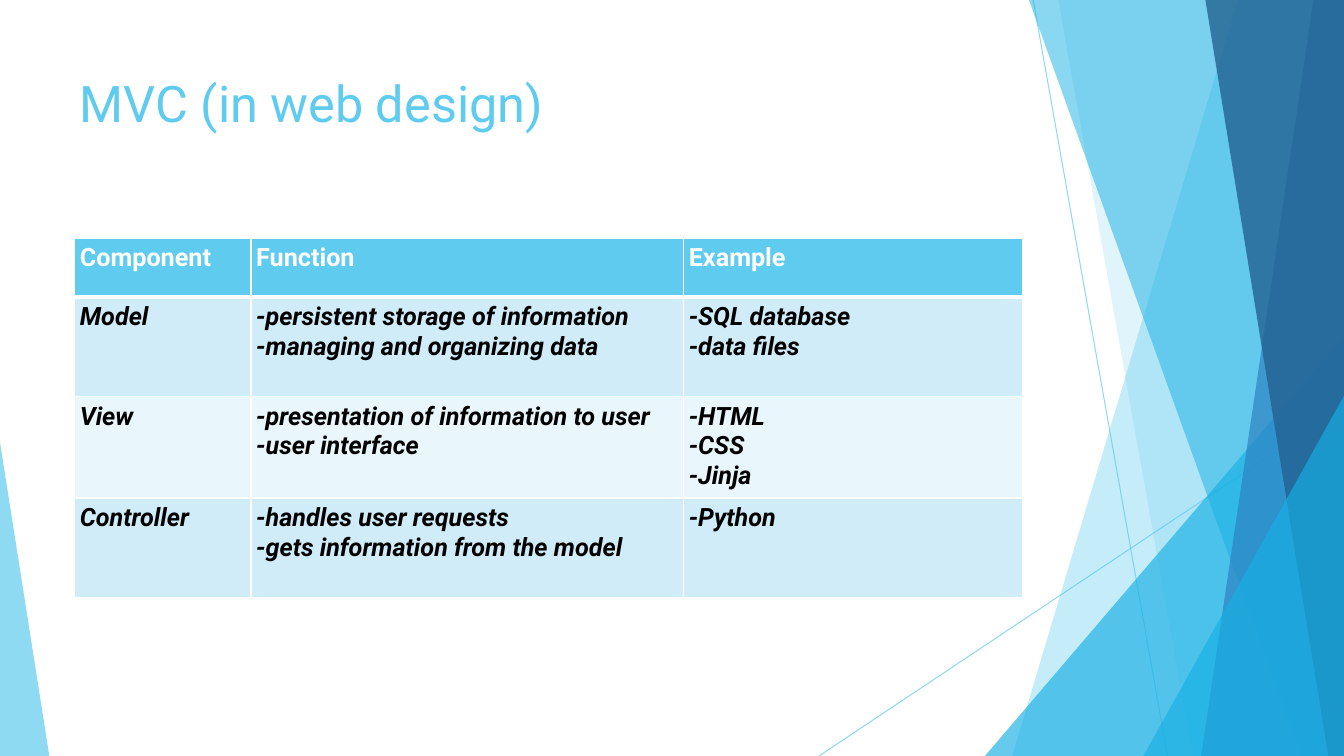
from dataclasses import dataclass

from lxml.etree import SubElement
from pptx import Presentation
from pptx.dml.color import RGBColor
from pptx.enum.shapes import MSO_CONNECTOR
from pptx.enum.text import MSO_ANCHOR
from pptx.oxml.ns import qn
from pptx.util import Emu, Pt

PX = 9525


@dataclass(frozen=True)
class Theme:
    font: str = "Roboto"
    title_size: int = 36
    table_size: int = 18
    inset: int = 5
    sky: str = "5FCBEF"
    cyan: str = "17B0E4"
    blue: str = "2E83C3"
    navy: str = "236292"
    white: str = "FFFFFF"
    black: str = "000000"
    bands: tuple = ("D1ECF9", "E9F6FC")
    thin: float = 0.75
    grid: int = 1
    header_rule: int = 3


@dataclass(frozen=True)
class Box:
    left: int
    top: int
    width: int
    height: int

    def emu(self):
        return [px(value) for value in (self.left, self.top, self.width, self.height)]

    def point(self, x, y):
        return px(self.left + x), px(self.top + y)


THEME = Theme()

HEADINGS = ["Component", "Function", "Example"]
COMPONENTS = [
    ["Model", "-persistent storage of information\n-managing and organizing data",
     "-SQL database\n-data files"],
    ["View", "-presentation of information to user\n-user interface", "-HTML\n-CSS\n-Jinja"],
    ["Controller", "-handles user requests\n-gets information from the model", "-Python"],
]


def px(value):
    return Emu(value * PX)


def set_alpha(color_format, color, percent):
    color_format.rgb = RGBColor.from_string(color)
    for node in color_format._xFill.iter(qn("a:srgbClr")):
        SubElement(node, qn("a:alpha"), val=str(percent * 1000))


def style_text(frame, size, color, bold=False, italic=False):
    for para in frame.paragraphs:
        for span in para.runs:
            font = span.font
            font.name = THEME.font
            font.size = Pt(size)
            font.color.rgb = RGBColor.from_string(color)
            font.bold = bold
            font.italic = italic


def add_ray(page, box, start, end):
    ray = page.shapes.add_connector(
        MSO_CONNECTOR.STRAIGHT, *box.point(*start), *box.point(*end))
    ray.line.width = Pt(THEME.thin)
    ray.line.fill.solid()
    set_alpha(ray.line.fill.fore_color, THEME.sky, 70)
    SubElement(ray._element.spPr, qn("a:effectLst"))


def add_facet(page, box, points, color, alpha):
    first, *others = [box.point(*point) for point in points]
    builder = page.shapes.build_freeform(*first)
    builder.add_line_segments(others, close=True)
    facet = builder.convert_to_shape()
    facet.shadow.inherit = False
    facet.line.fill.background()
    facet.fill.solid()
    set_alpha(facet.fill.fore_color, color, alpha)


def draw_facets(page, box):
    width, height = box.width, box.height
    add_ray(page, box, (204, 0), (332, height))
    add_ray(page, box, (width, 387), (0, height))
    facets = [
        (399, 0, 184, THEME.sky, 36),
        (228, 0, 356, THEME.sky, 20),
        (width, 320, 158, THEME.cyan, 66),
        (200, 0, 459, THEME.cyan, 50),
        (471, 0, 364, THEME.blue, 70),
        (368, 0, 485, THEME.navy, 80),
        (width, 377, 309, THEME.cyan, 66),
    ]
    for top_x, top_y, bottom_x, color, alpha in facets:
        points = [(width, height), (bottom_x, height), (top_x, top_y)]
        if top_x < width:
            points.append((width, top_y))
        add_facet(page, box, points, color, alpha)


def draw_corner(page, box):
    points = [(0, box.height), (0, 0), (box.width, box.height)]
    add_facet(page, box, points, THEME.sky, 70)


def draw_title(page, box, text):
    title = page.shapes.add_textbox(*box.emu())
    frame = title.text_frame
    frame.word_wrap = True
    frame.vertical_anchor = MSO_ANCHOR.TOP
    frame.margin_left = frame.margin_right = px(THEME.inset)
    frame.margin_top = frame.margin_bottom = px(THEME.inset)
    frame.text = text
    style_text(frame, THEME.title_size, THEME.sky)


def set_borders(cell, top, bottom):
    properties = cell._tc.get_or_add_tcPr()
    widths = {"lnL": THEME.grid, "lnR": THEME.grid, "lnT": top, "lnB": bottom}
    for side, width in widths.items():
        border = SubElement(properties, qn(f"a:{side}"), w=str(Pt(width)))
        fill = SubElement(border, qn("a:solidFill"))
        SubElement(fill, qn("a:srgbClr"), val=THEME.white)


def style_cell(cell, row, text):
    is_header = row == 0
    top = THEME.header_rule if row == 1 else THEME.grid
    bottom = THEME.header_rule if is_header else THEME.grid
    set_borders(cell, top, bottom)
    fill = THEME.sky if is_header else THEME.bands[(row - 1) % 2]
    cell.fill.solid()
    cell.fill.fore_color.rgb = RGBColor.from_string(fill)
    cell.margin_left = cell.margin_right = px(THEME.inset)
    cell.margin_top = cell.margin_bottom = px(THEME.inset)
    cell.text_frame.text = text
    color = THEME.white if is_header else THEME.black
    style_text(cell.text_frame, THEME.table_size, color, True, not is_header)


def draw_table(page, box):
    rows = [HEADINGS, *COMPONENTS]
    header_height = 56
    body_height = (box.height - header_height) // len(COMPONENTS)
    table = page.shapes.add_table(len(rows), len(HEADINGS), *box.emu()).table
    for column, width in zip(table.columns, (168, 412, 323)):
        column.width = px(width)
    for index, texts in enumerate(rows):
        table.rows[index].height = px(body_height if index else header_height)
        for column, text in enumerate(texts):
            style_cell(table.cell(index, column), index, text)


def main():
    deck = Presentation()
    deck.slide_width, deck.slide_height = px(1280), px(720)
    page = deck.slides.add_slide(deck.slide_layouts[6])
    draw_facets(page, Box(780, 0, 500, 720))
    draw_corner(page, Box(0, 421, 47, 299))
    draw_title(page, Box(71, 64, 903, 138), "MVC (in web design)")
    draw_table(page, Box(71, 227, 903, 341))
    deck.save("out.pptx")


if __name__ == "__main__":
    main()
